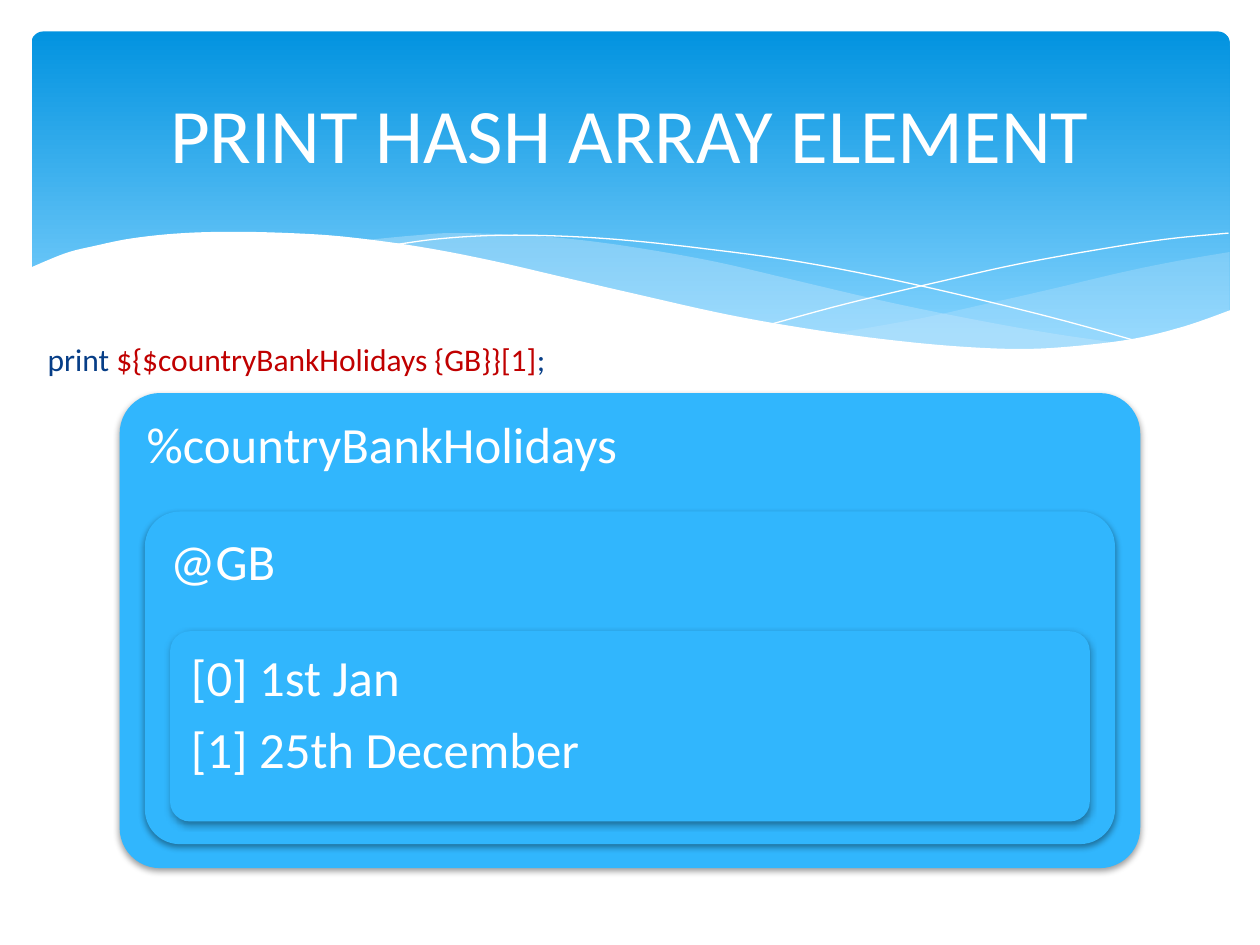
from lxml import etree
from pptx import Presentation
from pptx.dml.color import RGBColor
from pptx.enum.shapes import MSO_SHAPE as SHAPE
from pptx.enum.text import MSO_ANCHOR as ANCHOR, PP_ALIGN as ALIGN
from pptx.oxml.ns import qn
from pptx.util import Inches, Pt

COLORS = {
    "white": "FFFFFF", "top": "0293E0", "bottom": "83D3FE", "wave": "C6E7FC",
    "box": "31B6FD", "navy": "073E87", "red": "C00000", "shadow": "000000",
}
COLOR = {name: RGBColor.from_string(value) for name, value in COLORS.items()}


def add_text(p, text, size=18, color="white"):
    r = p.add_run()
    r.text = text
    r.font.name = "Calibri"
    r.font.size = Pt(size)
    r.font.color.rgb = COLOR[color]


def smooth(knots, steps=6):
    """Points in EMU on a Catmull-Rom curve through knots given in inches."""
    ends = [knots[0], *knots, knots[-1]]
    points = []
    for a, b, c, d in zip(ends, ends[1:], ends[2:], ends[3:]):
        for t in (i / steps for i in range(steps)):
            points.append(tuple(
                Inches((2 * q + (r - p) * t + (2 * p - 5 * q + 4 * r - u) * t**2
                        + (3 * q - p - 3 * r + u) * t**3) / 2)
                for p, q, r, u in zip(a, b, c, d)))
    return points + [tuple(Inches(v) for v in knots[-1])]


prs = Presentation()
prs.slide_width, prs.slide_height = Inches(10), Inches(7.5)
s = prs.slides.add_slide(prs.slide_layouts[5])

# Gradient banner
banner = s.shapes.add_shape(SHAPE.ROUNDED_RECTANGLE, Inches(0.25), Inches(0.25),
                            Inches(9.51), Inches(2.7))
banner.adjustments[0] = 0.034
banner.shadow.inherit = False
banner.line.fill.background()
banner.fill.gradient()
banner.fill.gradient_angle = 270
for stop, color, position in zip(banner.fill.gradient_stops, ("top", "bottom"), (0, 0.9)):
    stop.color.rgb = COLOR[color]
    stop.position = position

# Waves: edges (each one smooth curve), fill colour, opacity in percent
waves = [
    ([[(9.76, 2), (9.35, 2.07), (8.91, 2.16), (8.32, 2.3), (7.79, 2.42), (7.29, 2.53), (6.61, 2.65)],
      [(6.61, 2.65), (7.05, 2.71), (7.57, 2.76), (8.14, 2.78), (8.63, 2.75), (9.05, 2.69),
       (9.42, 2.59), (9.76, 2.47)]], "wave", 29),
    ([[(8.93, 2.73), (8.37, 2.65), (7.75, 2.54), (7.06, 2.4), (6.29, 2.22), (5.69, 2.08), (5.14, 1.98),
       (4.65, 1.91), (4.2, 1.87), (3.61, 1.85), (3.28, 1.87), (2.86, 1.91)],
      [(2.86, 1.91), (3.42, 1.99), (4.04, 2.11), (4.49, 2.22), (5.3, 2.4), (6.01, 2.55), (6.65, 2.66),
       (7.22, 2.74), (7.73, 2.77), (8.18, 2.78), (8.57, 2.77), (8.93, 2.73)]], "wave", 40),
    ([[(3.09, 1.95), (3.44, 1.9), (3.87, 1.87), (4.33, 1.87), (4.89, 1.9), (5.56, 1.97), (6.36, 2.08),
       (7.27, 2.26), (8.31, 2.51), (9.07, 2.72)]], None, 100),
    ([[(6.13, 2.57), (6.72, 2.41), (7.48, 2.23), (8.06, 2.1), (8.66, 1.99), (9.24, 1.9),
       (9.75, 1.85)]], None, 100),
    ([[(9.77, 2.46), (9.4, 2.59), (8.99, 2.69), (8.5, 2.75), (8.09, 2.77), (7.61, 2.75), (7.08, 2.7),
       (6.48, 2.62), (5.79, 2.5), (5.03, 2.33), (4.47, 2.2), (3.91, 2.07), (3.4, 1.97), (2.92, 1.9),
       (2.5, 1.86), (1.93, 1.84), (1.46, 1.85), (1.06, 1.89), (0.76, 1.95), (0.52, 2.01), (0.23, 2.13)],
      [(0.23, 3.29), (9.77, 3.29)]], "white", 100),
]
for edges, color, opacity in waves:
    points = [point for edge in edges for point in smooth(edge)]
    builder = s.shapes.build_freeform(*points[0])
    builder.add_line_segments(points[1:], close=color is not None)
    wave = builder.convert_to_shape()
    wave.shadow.inherit = False
    if color is None:
        wave.fill.background()
        wave.line.color.rgb = COLOR["white"]
        wave.line.width = Pt(0)
        continue
    wave.line.fill.background()
    wave.fill.solid()
    wave.fill.fore_color.rgb = COLOR[color]
    if opacity < 100:
        rgb = wave._element.spPr.find(".//" + qn("a:srgbClr"))
        etree.SubElement(rgb, qn("a:alpha"), val=str(opacity * 1000))

# Nested boxes: hash, array, elements
boxes = [
    (0.95, 3.12, 3.77, 0.085, ["%countryBankHolidays"]),
    (1.15, 4.06, 2.64, 0.105, ["@GB"]),
    (1.35, 5.01, 1.51, 0.105, ["[0] 1st Jan", "[1] 25th December"]),
]
for left, top, height, corner, lines in boxes:
    box = s.shapes.add_shape(SHAPE.ROUNDED_RECTANGLE, Inches(left), Inches(top),
                             Inches(10 - 2 * left), Inches(height))
    box.adjustments[0] = corner
    box.fill.solid()
    box.fill.fore_color.rgb = COLOR["box"]
    box.line.fill.background()
    box.shadow.inherit = False
    effects = box._element.spPr.find(qn("a:effectLst"))
    shadow = etree.SubElement(effects, qn("a:outerShdw"), blurRad=str(Pt(4)), dist=str(Pt(2)),
                              dir="5400000", rotWithShape="0")
    rgb = etree.SubElement(shadow, qn("a:srgbClr"), val=COLORS["shadow"])
    etree.SubElement(rgb, qn("a:alpha"), val="38000")
    tf = box.text_frame
    tf.vertical_anchor = ANCHOR.TOP
    tf.margin_left = tf.margin_top = tf.margin_right = tf.margin_bottom = Inches(0.12)
    for i, line in enumerate(lines):
        p = tf.paragraphs[0] if i == 0 else tf.add_paragraph()
        p.alignment = ALIGN.LEFT
        p.line_spacing = 0.9
        p.space_after = Pt(10)
        add_text(p, line, size=29)

# Title, in front of the banner
title = s.shapes.title
title.left, title.top, title.width, title.height = Inches(0.5), Inches(0.37), Inches(9), Inches(1.37)
s.shapes._spTree.append(title._element)
tf = title.text_frame
tf.vertical_anchor = ANCHOR.MIDDLE
tf.paragraphs[0].alignment = ALIGN.CENTER
add_text(tf.paragraphs[0], "PRINT HASH ARRAY ELEMENT", size=44)

# Code line
tf = s.shapes.add_textbox(Inches(0.28), Inches(2.65), Inches(5.51), Inches(0.71)).text_frame
tf.word_wrap = True
for text, color in (("print ", "navy"), ("${$countryBankHolidays {GB}}[1]", "red"), (";", "navy")):
    add_text(tf.paragraphs[0], text, color=color)

prs.save("out.pptx")
